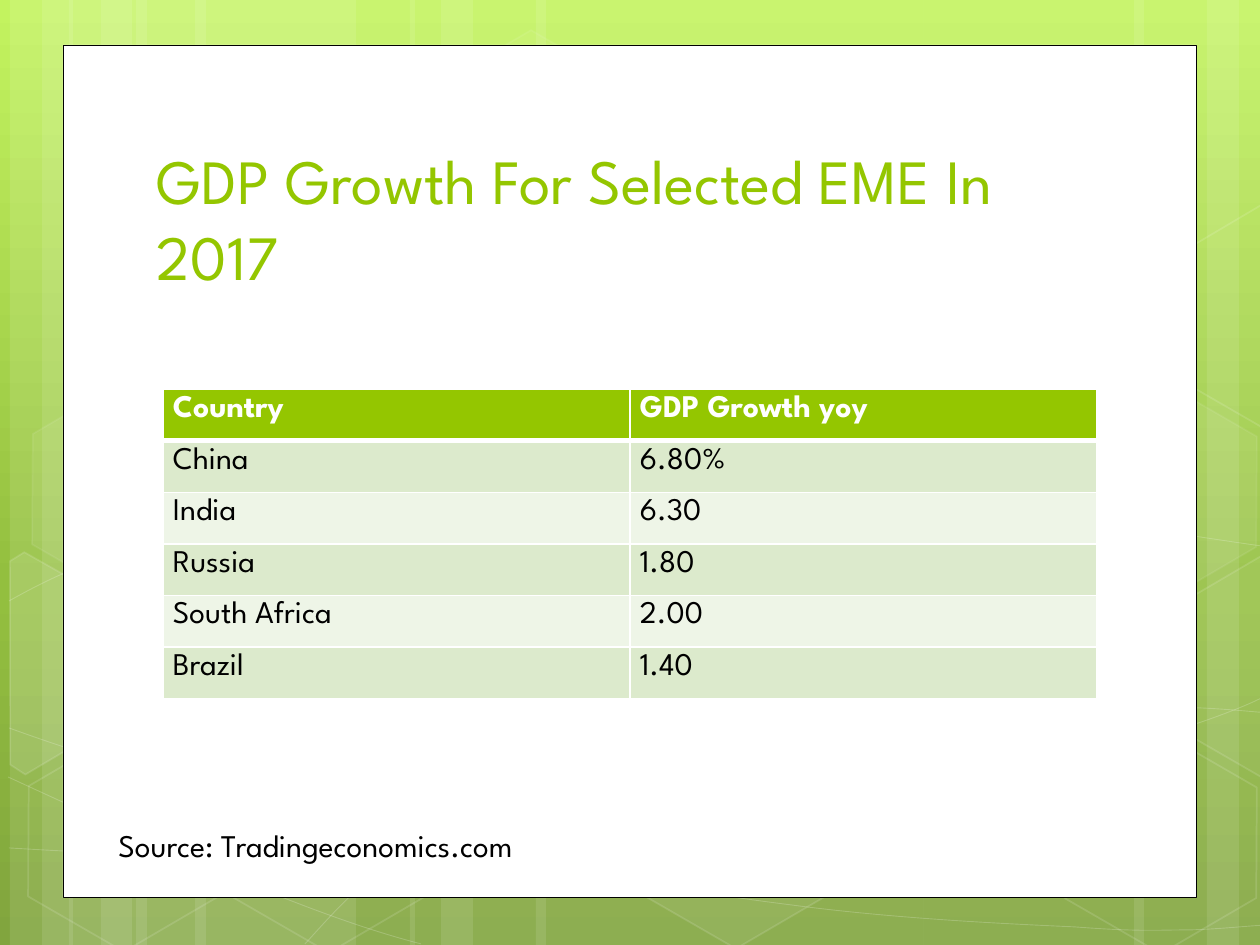
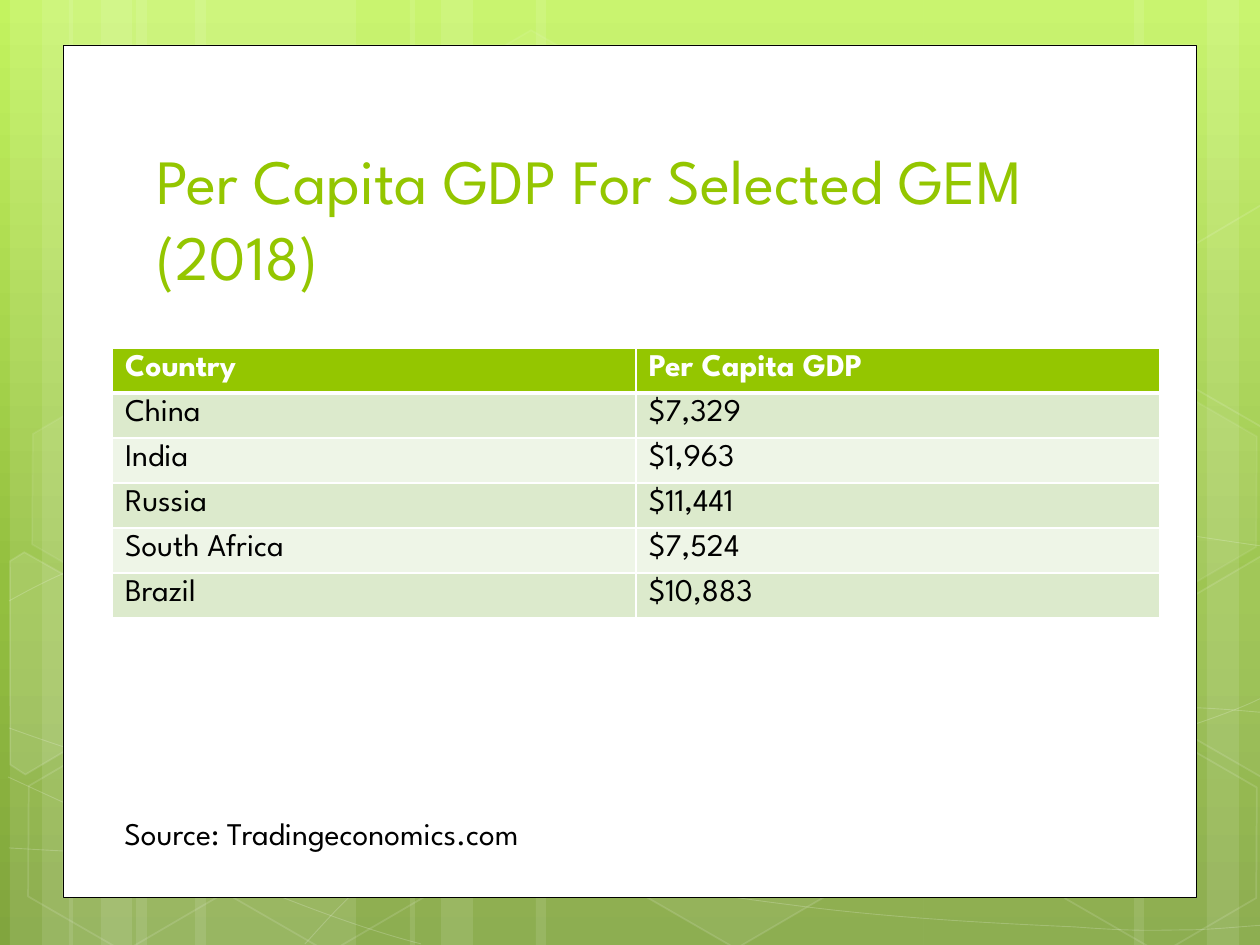
from copy import deepcopy
from math import cos, radians, sin

from lxml.etree import SubElement
from pptx import Presentation
from pptx.dml.color import RGBColor
from pptx.enum.shapes import MSO_SHAPE
from pptx.enum.text import MSO_ANCHOR, MSO_AUTO_SIZE, PP_ALIGN
from pptx.oxml.ns import qn
from pptx.util import Inches, Pt

PX = 7257
FONT = "League Spartan"
GREEN, WHITE, BLACK = "94C600", "FFFFFF", "000000"
STRIPES = ["EEF5E7", "DCEACC"]
TILT = 30


def color(fill, hex_color, alpha=100):
    fill.solid()
    fill.fore_color.rgb = RGBColor.from_string(hex_color)
    if alpha < 100:
        clr = fill._xPr.find(qn("a:solidFill"))[0]
        SubElement(clr, qn("a:alpha")).set("val", str(alpha * 1000))


def add_run(p, text, size, hex_color, bold=False):
    r = p.add_run()
    r.text = text
    r.font.name = FONT
    r.font.size = Pt(size)
    r.font.bold = bold
    color(r.font.fill, hex_color)


prs = Presentation()
prs.slide_width = Inches(10)
prs.slide_height = Inches(7.5)
layout = prs.slide_layouts[5]

bg = layout.background.fill
bg.gradient()
bg.gradient_angle = 270
gs = layout._element.xpath(".//a:gs")[0]
gs.addnext(deepcopy(gs))
stops = [(0, "C3F35F"), (0.62, "93BF3F"), (1, "81A53E")]
for stop, (position, hex_color) in zip(bg.gradient_stops, stops):
    stop.position = position
    stop.color.rgb = RGBColor.from_string(hex_color)

bands = [(136, 220), (10, 63), (42, 105), (195, 220), (69, 63), (101, 105),
         (924, 220), (1207, 63), (1134, 105), (536, 388), (410, 63), (441, 105)]

curves = [
    [(9, 848), (77, 852), (145, 856), (239, 854), (334, 853), (451, 851), (577, 838),
     (703, 825), (882, 801), (998, 777), (1113, 753), (1231, 716), (1269, 694)],
    [(9, 601), (45, 581), (82, 562), (152, 543), (224, 524), (326, 499), (437, 488),
     (549, 478), (685, 478), (824, 488), (963, 498), (1193, 537), (1269, 547)],
    [(8, 777), (160, 847), (311, 916), (421, 944)],
    [(9, 728), (48, 742), (88, 756), (161, 776), (234, 795), (344, 827), (450, 848),
     (554, 869), (687, 892), (791, 905), (896, 919), (1008, 924), (1075, 927),
     (1140, 932), (1158, 930), (1191, 930), (1223, 929), (1246, 926), (1269, 925)],
    [(305, 944), (328, 919), (350, 893), (381, 871), (411, 848), (454, 823), (489, 805),
     (524, 788), (546, 780), (592, 767), (638, 755), (722, 737), (766, 728),
     (811, 719), (818, 719), (857, 717), (896, 714), (958, 709), (1000, 708),
     (1045, 707), (1116, 708), (1116, 708), (1144, 708), (1173, 708), (1201, 708),
     (1223, 709), (1245, 711), (1256, 712), (1268, 713), (1264, 712), (1268, 713)],
]

hexagons = [(421, 45, 4, 8), (626, 742, 6, 12), (14, 745, 0, 12), (18, 393, 7, 8),
            (219, 746, 0, 12), (949, 571, 10, 12), (1051, 747, 0, 12), (1051, 396, 7, 8)]

cut_hexagons = [
    ((45, 674), [(10, 561), (24, 552), (121, 607), (120, 718), (25, 774), (10, 765)], 10),
    ((1241, 655), [(1167, 611), (1261, 556), (1271, 562), (1271, 772), (1263, 777), (1167, 722)], 4),
    ((1241, 304), [(1167, 261), (1261, 205), (1273, 212), (1271, 422), (1263, 427), (1167, 372)], 0),
]

s = prs.slides.add_slide(layout)
decor = []
for x, w in bands:
    sp = s.shapes.add_shape(MSO_SHAPE.RECTANGLE, x * PX, 0, w * PX, 945 * PX)
    decor.append((sp, 10, 0, 0))

for points in curves:
    builder = s.shapes.build_freeform(*points[0], scale=PX)
    builder.add_line_segments(points[1:], close=False)
    sp = builder.convert_to_shape()
    path_el = sp._element.xpath(".//a:path")[0]
    lines = list(path_el)[1:]
    for i in range(0, len(lines), 3):
        bezier = SubElement(path_el, qn("a:cubicBezTo"))
        for line in lines[i:i + 3]:
            bezier.append(line[0])
            path_el.remove(line)
    decor.append((sp, 0, 20, 0.5))

for x, y, fill_alpha, line_alpha in hexagons:
    sp = s.shapes.add_shape(MSO_SHAPE.HEXAGON, x * PX, y * PX, 220 * PX, 192 * PX)
    sp.adjustments[0] = 0.285
    sp.rotation = TILT
    decor.append((sp, fill_alpha, line_alpha, 1))

c, d = cos(radians(TILT)), sin(radians(TILT))
for (cx, cy), points, fill_alpha in cut_hexagons:
    upright = [(cx + (x - cx) * c + (y - cy) * d, cy - (x - cx) * d + (y - cy) * c)
               for x, y in points]
    builder = s.shapes.build_freeform(*upright[0], scale=PX)
    builder.add_line_segments(upright[1:], close=True)
    sp = builder.convert_to_shape()
    sp.rotation = TILT
    decor.append((sp, fill_alpha, 12, 1))

panel = s.shapes.add_shape(MSO_SHAPE.RECTANGLE, 63 * PX, 45 * PX, 1134 * PX, 853 * PX)
decor.append((panel, 100, 100, 0.5))

for i, (sp, fill_alpha, line_alpha, width) in enumerate(decor):
    sp.shadow.inherit = False
    if fill_alpha:
        color(sp.fill, WHITE, fill_alpha)
    else:
        sp.fill.background()
    if line_alpha:
        color(sp.line.fill, BLACK if sp is panel else WHITE, line_alpha)
        sp.line.width = Pt(width)
    else:
        sp.line.fill.background()
    sp._element.xpath(".//p:cNvPr")[0].set("id", str(100 + i))
    layout.shapes._spTree.insert(2 + i, sp._element)

countries = ["China", "India", "Russia", "South Africa", "Brazil"]
pages = [
    ("GDP Growth For Selected EME In 2017", "GDP Growth yoy",
     ["6.80%", "6.30", "1.80", "2.00", "1.40"],
     (163, 389, 934, 310), 10, (106, 820, 428, 50), False),
    ("Per Capita GDP For Selected GEM (2018)", "Per Capita GDP",
     ["$7,329", "$1,963", "$11,441", "$7,524", "$10,883"],
     (112, 348, 1048, 270), 13, (112, 808, 593, 50), True),
]

for n, (title, measure, values, table_box, margin, source_box, wrap) in enumerate(pages):
    if n:
        s = prs.slides.add_slide(layout)

    sp = s.shapes.title
    sp.left, sp.top, sp.width, sp.height = [v * PX for v in (144, 141, 968, 158)]
    tf = sp.text_frame
    tf.word_wrap = True
    tf.auto_size = MSO_AUTO_SIZE.NONE
    tf.vertical_anchor = MSO_ANCHOR.BOTTOM
    p = tf.paragraphs[0]
    p.alignment = PP_ALIGN.LEFT
    add_run(p, title, 36, GREEN)

    rows = [("Country", measure), *zip(countries, values)]
    x, y, w, h = [v * PX for v in table_box]
    table = s.shapes.add_table(len(rows), 2, x, y, w, h).table
    for i, row in enumerate(rows):
        table.rows[i].height = h // len(rows)
        for j, text in enumerate(row):
            cell = table.cell(i, j)
            cell.margin_left = cell.margin_right = margin * PX
            tcPr = cell._tc.get_or_add_tcPr()
            for side in "LRTB":
                thick = (i, side) in [(0, "B"), (1, "T")]
                ln = SubElement(tcPr, qn("a:ln" + side), w=str(Pt(3 if thick else 1)))
                SubElement(SubElement(ln, qn("a:solidFill")), qn("a:srgbClr"), val=WHITE)
            color(cell.fill, STRIPES[i % 2] if i else GREEN)
            add_run(cell.text_frame.paragraphs[0], text, 18, BLACK if i else WHITE, i == 0)

    tf = s.shapes.add_textbox(*[v * PX for v in source_box]).text_frame
    tf.word_wrap = wrap
    tf.auto_size = MSO_AUTO_SIZE.SHAPE_TO_FIT_TEXT
    add_run(tf.paragraphs[0], "Source: Tradingeconomics.com", 18, BLACK)

prs.save("out.pptx")
